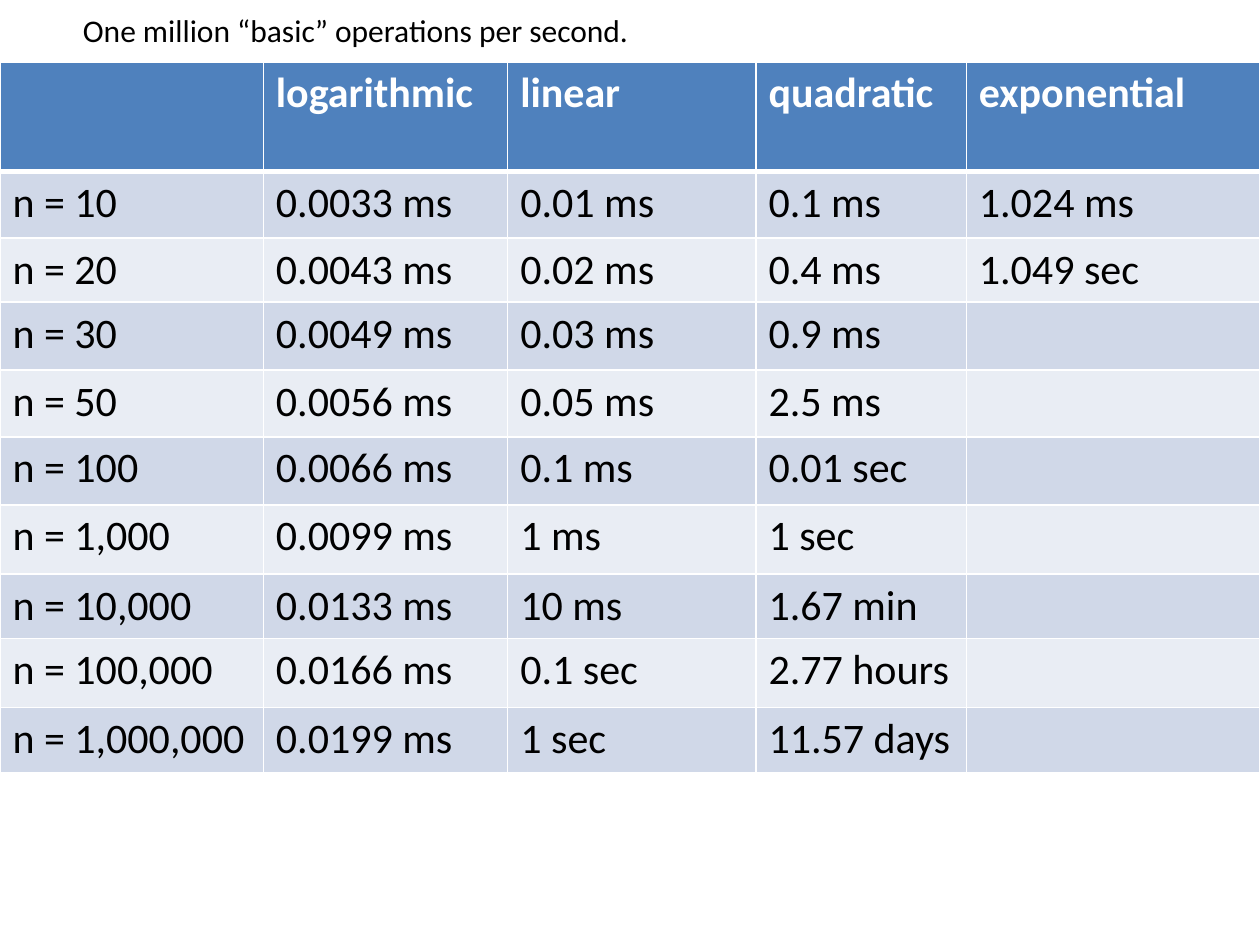
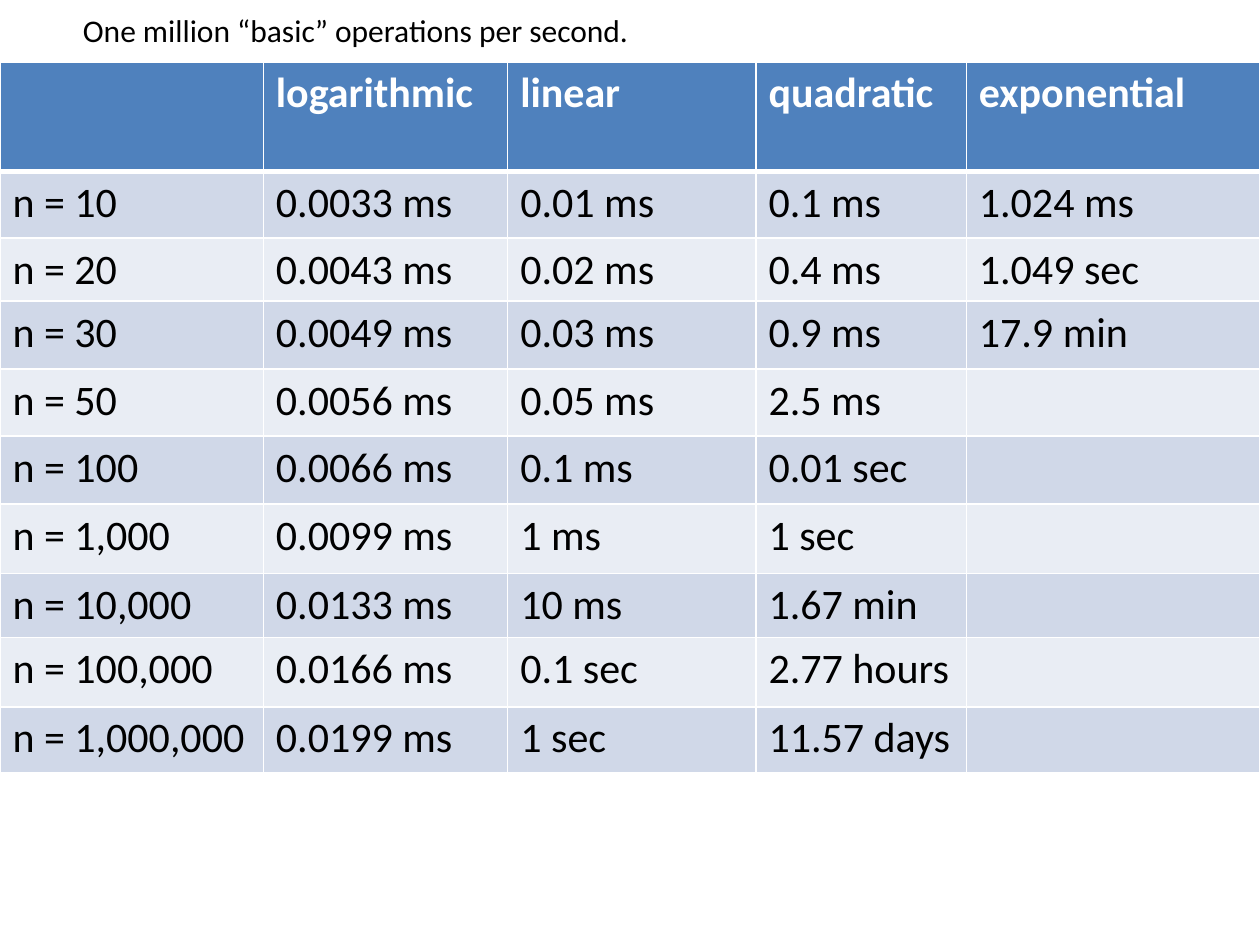
from dataclasses import dataclass

from lxml.etree import SubElement
from pptx import Presentation
from pptx.dml.color import RGBColor
from pptx.enum.text import MSO_AUTO_SIZE
from pptx.oxml.ns import qn
from pptx.slide import Slide
from pptx.table import _Cell
from pptx.text.text import _Paragraph
from pptx.util import Inches, Pt

COLORS = {
    "header": "4F81BD",
    "odd_band": "D0D8E8",
    "even_band": "E9EDF4",
    "rule": "FFFFFF",
    "header_text": "FFFFFF",
    "text": "000000",
}
FONT = "Calibri"

# Text formats
CAPTION_FORMAT = {"name": FONT, "size": Pt(18)}
HEADER_FORMAT = {"name": FONT, "size": Pt(24), "bold": True}
BODY_FORMAT = HEADER_FORMAT | {"bold": False}

# Shared content
CAPTION = "One million “basic” operations per second."
HEADINGS = ("", "logarithmic", "linear", "quadratic", "exponential")
RUNNING_TIMES = (
    ("n = 10", "0.0033 ms", "0.01 ms", "0.1 ms"),
    ("n = 20", "0.0043 ms", "0.02 ms", "0.4 ms"),
    ("n = 30", "0.0049 ms", "0.03 ms", "0.9 ms"),
    ("n = 50", "0.0056 ms", "0.05 ms", "2.5 ms"),
    ("n = 100", "0.0066 ms", "0.1 ms", "0.01 sec"),
    ("n = 1,000", "0.0099 ms", "1 ms", "1 sec"),
    ("n = 10,000", "0.0133 ms", "10 ms", "1.67 min"),
    ("n = 100,000", "0.0166 ms", "0.1 sec", "2.77 hours"),
    ("n = 1,000,000", "0.0199 ms", "1 sec", "11.57 days"),
)
# Exponential times revealed on each slide, from the top row down
EXPONENTIAL_STEPS = (
    ("1.024 ms", "1.049 sec"),
    ("1.024 ms", "1.049 sec", "17.9 min"),
)

COLUMN_WIDTHS = (2.09, 1.94, 1.97, 1.67, 2.33)
ROW_HEIGHTS = (0.87, 0.53, 0.49, 0.54, 0.53, 0.54, 0.55, 0.51, 0.55, 0.52)
TABLE_TOP = 0.49


@dataclass(frozen=True)
class RowStyle:
    fill: str
    text_color: str
    text_format: dict
    top_rule: float = 1
    bottom_rule: float = 1


def row_style(row: int) -> RowStyle:
    """Header first, then alternating bands; a thick rule divides them."""
    if row == 0:
        return RowStyle("header", "header_text", HEADER_FORMAT, bottom_rule=3)
    band = "odd_band" if row % 2 else "even_band"
    return RowStyle(band, "text", BODY_FORMAT, top_rule=3 if row == 1 else 1)


def rgb(name: str) -> RGBColor:
    return RGBColor.from_string(COLORS[name])


def write_span(para: _Paragraph, text: str, text_format: dict, color: str) -> None:
    span = para.add_run()
    span.text = text
    for attribute, value in text_format.items():
        setattr(span.font, attribute, value)
    span.font.color.rgb = rgb(color)


def draw_cell_rules(cell: _Cell, style: RowStyle) -> None:
    properties = cell._tc.get_or_add_tcPr()
    widths = {"L": 1, "R": 1, "T": style.top_rule, "B": style.bottom_rule}
    for side, width in widths.items():
        line = SubElement(properties, qn(f"a:ln{side}"), w=str(Pt(width)))
        fill = SubElement(line, qn("a:solidFill"))
        SubElement(fill, qn("a:srgbClr"), val=COLORS["rule"])


def fill_cell(cell: _Cell, text: str, style: RowStyle) -> None:
    draw_cell_rules(cell, style)
    cell.fill.solid()
    cell.fill.fore_color.rgb = rgb(style.fill)
    if text:
        write_span(cell.text_frame.paragraphs[0], text, style.text_format, style.text_color)


def add_times_table(page: Slide, exponential: tuple[str, ...]) -> None:
    hidden = ("",) * (len(RUNNING_TIMES) - len(exponential))
    body = [times + (last,) for times, last in zip(RUNNING_TIMES, exponential + hidden)]
    rows = [HEADINGS, *body]
    table = page.shapes.add_table(
        len(rows), len(HEADINGS), Inches(0), Inches(TABLE_TOP),
        Inches(sum(COLUMN_WIDTHS)), Inches(sum(ROW_HEIGHTS)),
    ).table
    for column, width in zip(table.columns, COLUMN_WIDTHS):
        column.width = Inches(width)
    for row, height in zip(table.rows, ROW_HEIGHTS):
        row.height = Inches(height)
    for row_index, texts in enumerate(rows):
        style = row_style(row_index)
        for column_index, text in enumerate(texts):
            fill_cell(table.cell(row_index, column_index), text, style)


def add_caption(page: Slide) -> None:
    box = page.shapes.add_textbox(Inches(0.56), Inches(0.04), Inches(8.8), Inches(0.4))
    frame = box.text_frame
    frame.word_wrap = True
    frame.auto_size = MSO_AUTO_SIZE.SHAPE_TO_FIT_TEXT
    write_span(frame.paragraphs[0], CAPTION, CAPTION_FORMAT, "text")


def main() -> None:
    deck = Presentation()
    deck.slide_width, deck.slide_height = Inches(10), Inches(7.5)
    for exponential in EXPONENTIAL_STEPS:
        page = deck.slides.add_slide(deck.slide_layouts[6])
        add_times_table(page, exponential)
        add_caption(page)
    deck.save("out.pptx")


if __name__ == "__main__":
    main()
